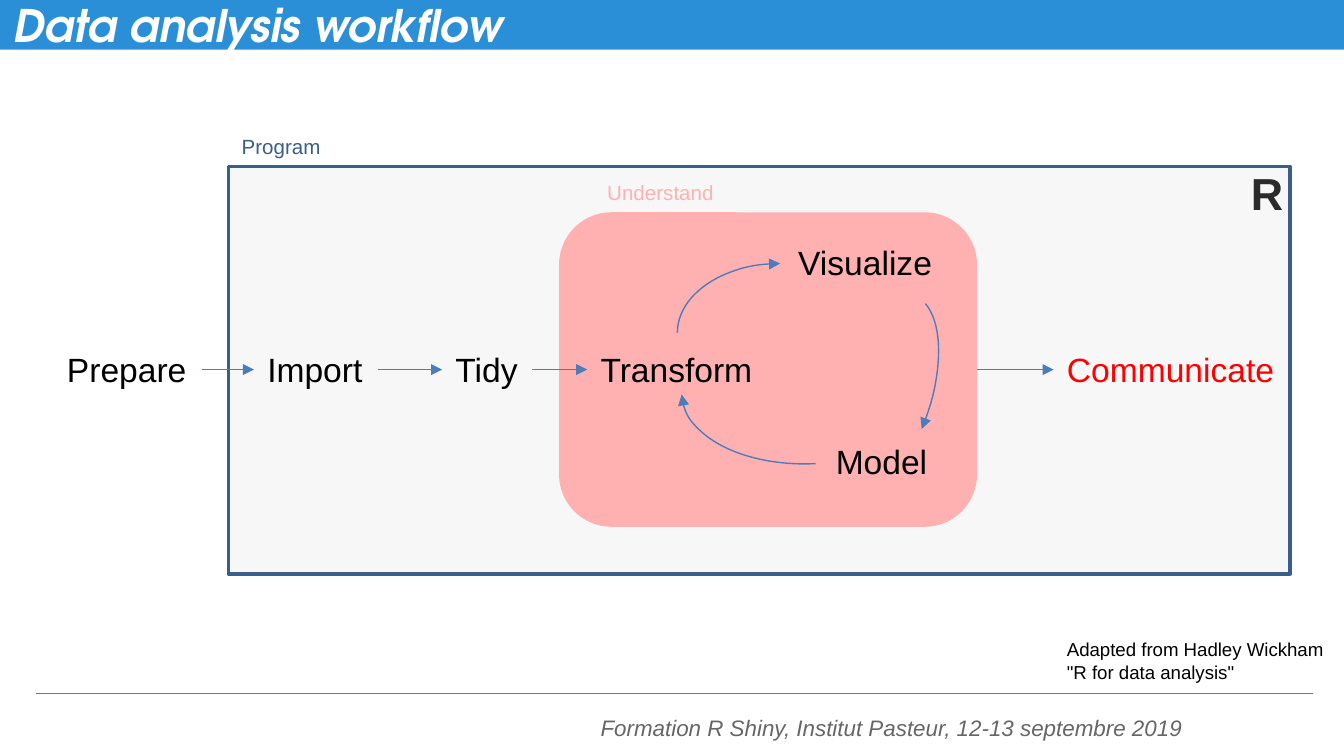
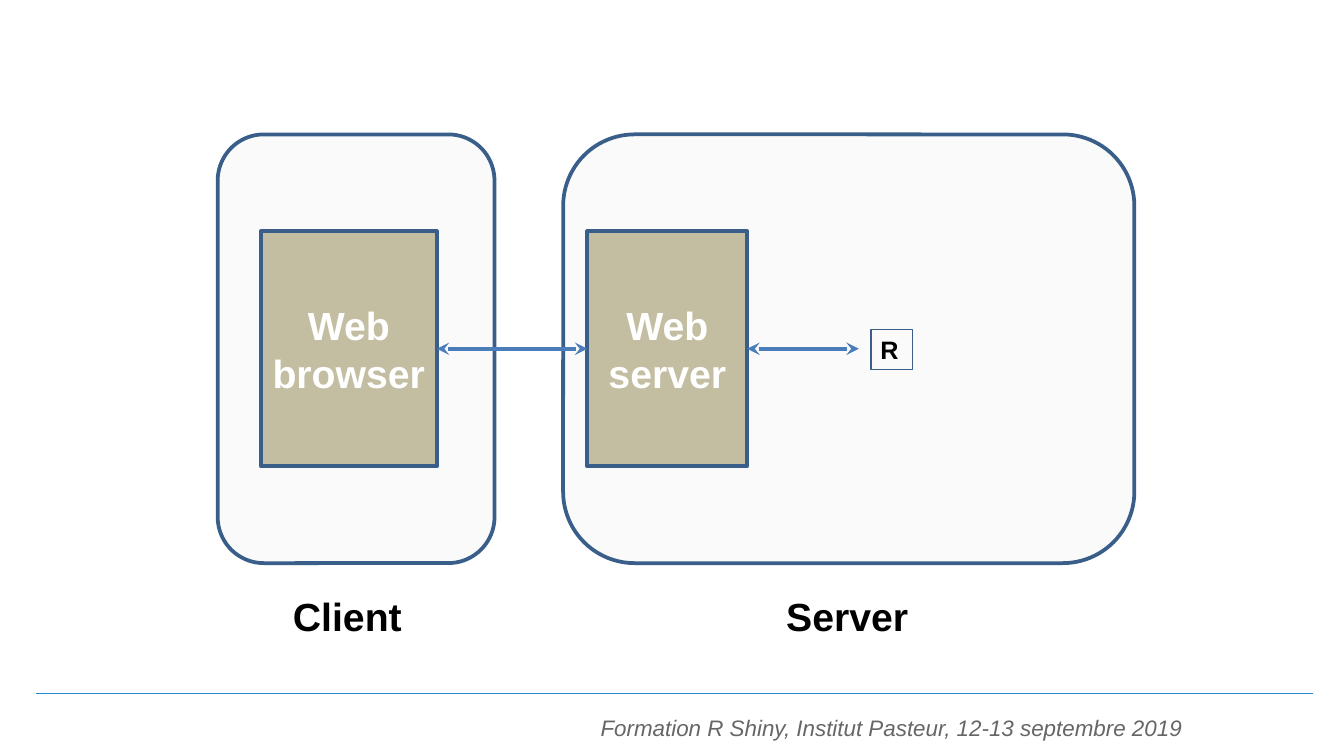
from lxml.etree import SubElement
from pptx import Presentation
from pptx.dml.color import RGBColor
from pptx.enum.shapes import MSO_CONNECTOR, MSO_SHAPE
from pptx.enum.text import MSO_ANCHOR, MSO_AUTO_SIZE, PP_ALIGN
from pptx.oxml.ns import qn
from pptx.util import Inches, Pt

COLORS = {
    "band": "238BD7", "border": "395E89", "arrow": "4A7DBA",
    "panel": "D8D8D8", "zone": "F2F2F2", "pink": "FFB1B1", "khaki": "938953",
    "footer": "666666", "red": "FF0000", "black": "000000", "white": "FFFFFF",
}
TITLE = dict(name="TeX Gyre Adventor", size=24, bold=True, italic=True, color="white")
FOOTER = dict(size=12, italic=True, color="footer")
STEP = dict(size=18)
NODE = dict(size=21, bold=True)
WIDE, NARROW, FLAT = (0.1, 0.05), (0.07, 0.04), (0.1, 0.1)
STEP_Y, STEP_H = 2.55, 0.4


def rgb(name):
    return RGBColor.from_string(COLORS[name])


def inches(*values):
    return [Inches(v) for v in values]


# Formatting
def paint(sp, fill=None, alpha=None, line=None, width=0.75):
    if fill:
        sp.fill.solid()
        sp.fill.fore_color.rgb = rgb(fill)
    else:
        sp.fill.background()
    if alpha:
        color = sp.element.spPr.find(qn("a:solidFill"))[0]
        SubElement(color, qn("a:alpha"), val=str(alpha * 1000))
    if line:
        sp.line.color.rgb = rgb(line)
        sp.line.width = Pt(width)
    else:
        sp.line.fill.background()


def write(sp, text, fmt, ins=WIDE, anchor=MSO_ANCHOR.TOP, align=PP_ALIGN.LEFT):
    tf = sp.text_frame
    tf.text = text
    x, y = inches(*ins)
    frame = dict(word_wrap=True, auto_size=MSO_AUTO_SIZE.NONE, vertical_anchor=anchor,
                 margin_left=x, margin_right=x, margin_top=y, margin_bottom=y)
    for key, value in frame.items():
        setattr(tf, key, value)
    font = dict(name="Arial", size=18, bold=False, italic=False, color="black") | fmt
    color, font["size"] = font.pop("color"), Pt(font["size"])
    for p in tf.paragraphs:
        p.alignment = align
        for r in p.runs:
            for key, value in font.items():
                setattr(r.font, key, value)
            r.font.color.rgb = rgb(color)


def add_heads(sp, **ends):
    ln = sp.element.spPr.find(qn("a:ln"))
    for end, kind in ends.items():
        SubElement(ln, qn(f"a:{end}"), type=kind)


# Elements
def add_label(shapes, text, box, fmt, **frame):
    sp = shapes.add_textbox(*inches(*box))
    write(sp, text, fmt, **frame)
    return sp


def add_box(shapes, kind, box, **look):
    sp = shapes.add_shape(kind, *inches(*box))
    sp.shadow.inherit = False
    paint(sp, **look)
    return sp


def add_line(shapes, start, end, color, width=0.75):
    cn = shapes.add_connector(MSO_CONNECTOR.STRAIGHT, *start, *end)
    cn.line.color.rgb = rgb(color)
    cn.line.width = Pt(width)
    SubElement(cn.element.spPr, qn("a:effectLst"))
    return cn


def add_link(shapes, start, end, width=0.75, **ends):
    """Horizontal arrow; each end is a shape to join or an x position in inches."""
    start_free, end_free = isinstance(start, float), isinstance(end, float)
    anchor = end if start_free else start
    y = anchor.top + anchor.height // 2
    x1 = Inches(start) if start_free else start.left + start.width
    x2 = Inches(end) if end_free else end.left
    cn = add_line(shapes, (x1, y), (x2, y), "arrow", width)
    if not start_free:
        cn.begin_connect(start, 3)
    if not end_free:
        cn.end_connect(end, 1)
    add_heads(cn, **ends)


def add_arc(shapes, box, rotation, start=162):
    sp = add_box(shapes, MSO_SHAPE.ARC, box, line="arrow")
    sp.adjustments[0] = start
    sp.rotation = rotation
    add_heads(sp, tailEnd="triangle")


def add_node(s, text, box):
    sp = add_box(s.shapes, MSO_SHAPE.RECTANGLE, box,
                 fill="khaki", alpha=53, line="border", width=2)
    write(sp, text, NODE | dict(color="white"), NARROW, MSO_ANCHOR.MIDDLE, PP_ALIGN.CENTER)
    return sp


# Shared parts
def move_footer_to_layout(s):
    rule = add_line(s.shapes, inches(0.27, 5.16), inches(9.77, 5.16), "band")
    note = add_label(s.shapes, "Formation R Shiny, Institut Pasteur, 12-13 septembre 2019",
                     (4.37, 5.27, 4.71, 0.28), FOOTER, ins=FLAT, anchor=MSO_ANCHOR.MIDDLE)
    for sp in (rule, note):
        s.slide_layout.shapes.element.append(sp.element)


def add_title(s, text):
    sp = s.shapes.title
    sp.left, sp.top, sp.width, sp.height = inches(0, -0.01, 10, 0.38)
    paint(sp, fill="band", alpha=96)
    write(sp, text, TITLE, FLAT, MSO_ANCHOR.MIDDLE)


# Slides
def workflow_slide(s):
    add_title(s, "Data analysis workflow")
    add_label(s.shapes, "R", (9.21, 1.18, 0.44, 0.51), dict(size=24, bold=True))
    add_label(s.shapes, "Adapted from Hadley Wickham\n\"R for data analysis\"",
              (7.84, 4.7, 2.16, 0.44), dict(size=10))

    # Areas
    shapes = s.shapes.add_group_shape().shapes
    add_box(shapes, MSO_SHAPE.RECTANGLE, (1.7, 1.24, 7.9, 3.03),
            fill="panel", alpha=20, line="border", width=2)
    understand = add_box(shapes, MSO_SHAPE.ROUNDED_RECTANGLE, (4.16, 1.58, 3.11, 2.34),
                         fill="pink")

    # Steps
    steps = {}
    for text, x, y, w, color in (
        ("Import", 1.89, STEP_Y, 0.92, "black"),
        ("Prepare", 0.4, STEP_Y, 1.1, "black"),
        ("Tidy", 3.29, STEP_Y, 0.72, "black"),
        ("Visualize", 5.84, 1.75, 1.21, "black"),
        ("Transform", 4.37, STEP_Y, 1.34, "black"),
        ("Model", 6.12, 3.23, 0.89, "black"),
        ("Communicate", 7.84, STEP_Y, 1.76, "red"),
    ):
        steps[text] = add_label(shapes, text, (x, y, w, STEP_H), STEP | dict(color=color))

    # Cycle and flow arrows
    add_arc(shapes, (5.29, 1.71, 1.03, 1.53), 270)
    add_arc(shapes, (6.03, 2.13, 0.86, 1.8), 22.2, start=166.01)
    add_arc(shapes, (5.07, 2.32, 1.94, 1.13), 177.1)
    for start, end in ((steps["Prepare"], "Import"), (steps["Import"], "Tidy"),
                       (3.96, "Transform"), (understand, "Communicate")):
        add_link(shapes, start, steps[end], tailEnd="triangle")

    # Area names
    add_label(shapes, "Program", (1.7, 0.95, 0.8, 0.29), dict(size=11, color="border"))
    add_label(shapes, "Understand", (4.42, 1.29, 1.2, 0.29), dict(size=11, color="pink"))


def client_server_slide(s):
    title = s.shapes.title.element
    title.getparent().remove(title)

    # Zones with their names
    for text, x, w, text_x, text_w in (("Client", 1.62, 2.06, 2.11, 0.97),
                                       ("Server", 4.19, 4.25, 5.78, 1.07)):
        add_box(s.shapes, MSO_SHAPE.ROUNDED_RECTANGLE, (x, 1, w, 3.19),
                fill="zone", alpha=37, line="border", width=2)
        add_label(s.shapes, text, (text_x, 4.37, text_w, 0.43), NODE, ins=NARROW)

    # Nodes
    server = add_node(s, "Web server", (4.37, 1.72, 1.19, 1.75))
    browser = add_node(s, "Web browser", (1.94, 1.72, 1.31, 1.75))
    r_box = add_box(s.shapes, MSO_SHAPE.RECTANGLE, (6.48, 2.45, 0.31, 0.3), line="border")
    write(r_box, "R", dict(size=13.5, bold=True), NARROW)

    # Exchanges
    for start, end in ((browser, server), (server, 6.39)):
        add_link(s.shapes, start, end, 2.25, headEnd="stealth", tailEnd="stealth")


def main():
    prs = Presentation()
    prs.slide_width = Inches(10)
    prs.slide_height = prs.slide_width * 9 // 16
    layout = prs.slide_layouts[5]
    workflow, client_server = [prs.slides.add_slide(layout) for _ in range(2)]
    move_footer_to_layout(workflow)
    workflow_slide(workflow)
    client_server_slide(client_server)
    prs.save("out.pptx")


if __name__ == "__main__":
    main()
